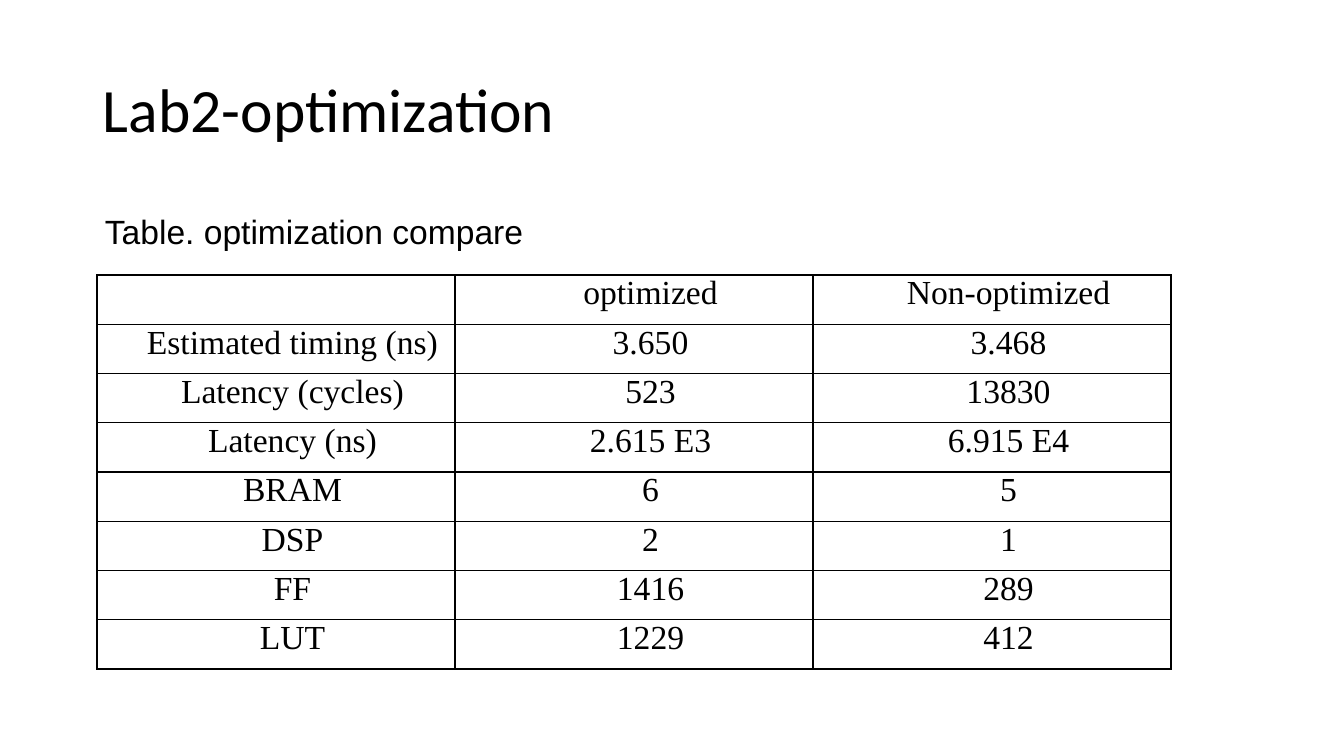
from lxml import etree
from pptx import Presentation
from pptx.dml.color import RGBColor
from pptx.enum.text import MSO_ANCHOR, PP_ALIGN
from pptx.oxml.ns import qn
from pptx.util import Emu, Pt

CENTER = PP_ALIGN.CENTER
MIDDLE = MSO_ANCHOR.MIDDLE

EMU_PER_PX = 914400 / 100.8
COLORS = {"text": "000000", "border": "000000", "page": "FFFFFF"}
BLANK_LAYOUT = 6

RESULTS = [
    ("", "optimized", "Non-optimized"),
    ("Estimated timing (ns)", "3.650", "3.468"),
    ("Latency (cycles)", "523", "13830"),
    ("Latency (ns)", "2.615 E3", "6.915 E4"),
    ("BRAM", "6", "5"),
    ("DSP", "2", "1"),
    ("FF", "1416", "289"),
    ("LUT", "1229", "412"),
]


def px(length):
    return Emu(round(length * EMU_PER_PX))


def set_font(para, name, size):
    para.font.name = name
    para.font.size = Pt(size)
    para.font.color.rgb = RGBColor.from_string(COLORS["text"])


def add_text(page, box, text, font_name, size, line_spacing=1.0):
    """One line of text, centred vertically in its box."""
    frame = page.shapes.add_textbox(*map(px, box)).text_frame
    frame.word_wrap = True
    frame.vertical_anchor = MIDDLE
    para = frame.paragraphs[0]
    para.text = text
    para.line_spacing = line_spacing
    set_font(para, font_name, size)


def add_borders(cell):
    properties = cell._tc.get_or_add_tcPr()
    for side in ("a:lnL", "a:lnR", "a:lnT", "a:lnB"):
        line = etree.SubElement(properties, qn(side), w=str(Pt(1)))
        fill = etree.SubElement(line, qn("a:solidFill"))
        etree.SubElement(fill, qn("a:srgbClr"), val=COLORS["border"])


def fill_cell(cell, text):
    add_borders(cell)
    cell.fill.background()
    cell.margin_left = cell.margin_right = px(7)
    cell.margin_top = cell.margin_bottom = 0
    para = cell.text_frame.paragraphs[0]
    para.text = text
    para.alignment = CENTER
    para._p.get_or_add_pPr().set("marL", str(px(33)))
    set_font(para, "Times New Roman", 24)


def add_results_table(page, box):
    """Grid of equal rows and columns that fills its box."""
    left, top, width, height = map(px, box)
    row_count, column_count = len(RESULTS), len(RESULTS[0])
    table = page.shapes.add_table(
        row_count, column_count, left, top, width, height).table
    table.first_row = table.horz_banding = False
    for column in table.columns:
        column.width = width // column_count
    for row, values in zip(table.rows, RESULTS):
        row.height = height // row_count
        for cell, value in zip(row.cells, values):
            fill_cell(cell, value)


def build_page(deck):
    page = deck.slides.add_slide(deck.slide_layouts[BLANK_LAYOUT])
    page.background.fill.solid()
    page.background.fill.fore_color.rgb = RGBColor.from_string(COLORS["page"])
    # Title
    add_text(page, (93, 40, 1159, 146), "Lab2-optimization", "Calibri", 44, 0.9)
    # Results with their caption
    add_results_table(page, (97, 275, 1074, 394))
    add_text(page, (95, 206, 539, 50), "Table. optimization compare", "Arial", 24)


def main():
    deck = Presentation()
    deck.slide_width, deck.slide_height = px(1344), px(756)
    build_page(deck)
    deck.save("out.pptx")


if __name__ == "__main__":
    main()
